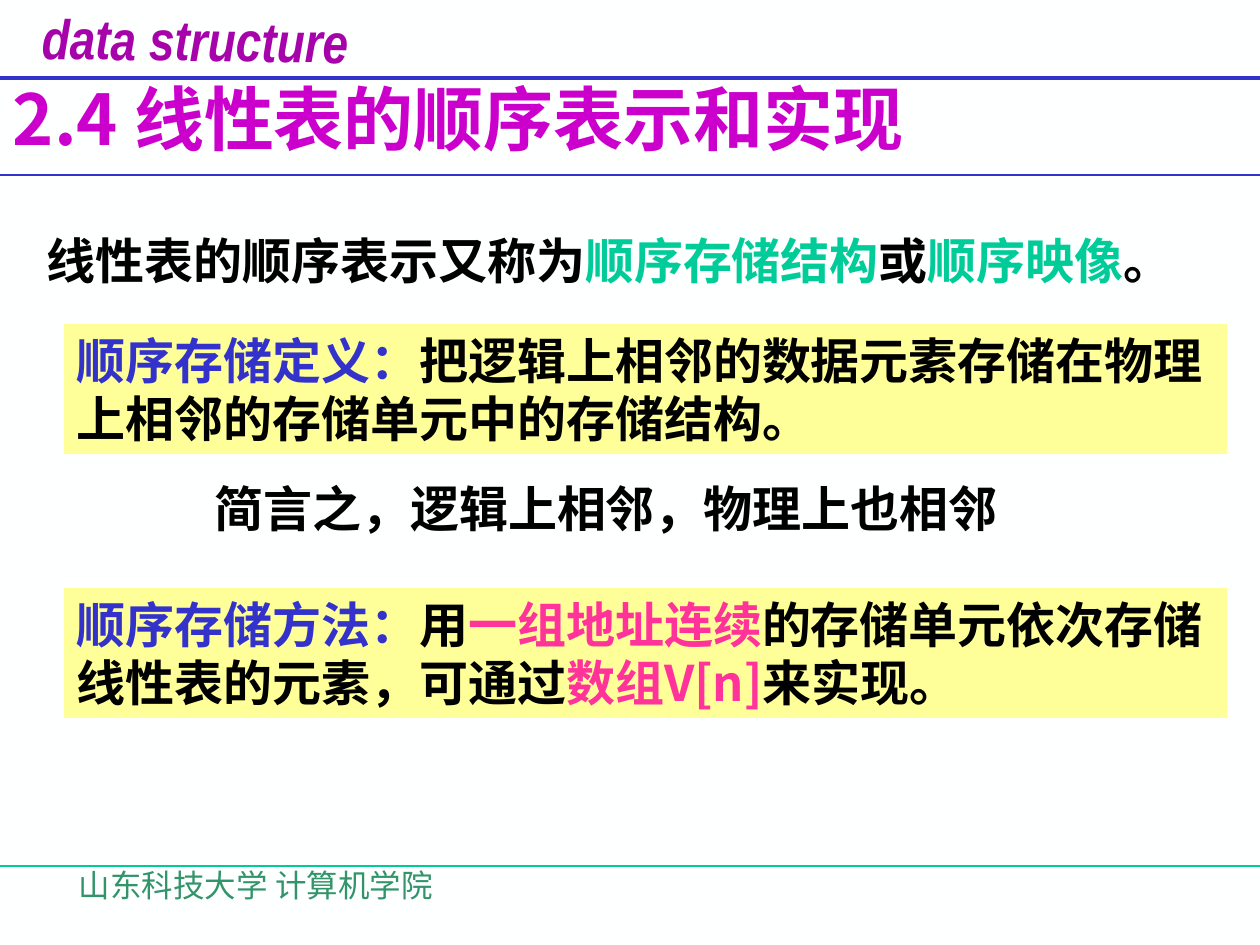
from lxml.etree import SubElement
from pptx import Presentation
from pptx.dml.color import RGBColor
from pptx.enum.shapes import MSO_CONNECTOR, MSO_SHAPE
from pptx.enum.text import MSO_ANCHOR, MSO_AUTO_SIZE, PP_ALIGN
from pptx.oxml.ns import qn
from pptx.util import Pt

SCALE = 914400 / 126
HEX = {
    "paper": "FEFFFF", "ink": "000000", "blue": "3333CC", "green": "00CC99",
    "pink": "FF3399", "yellow": "FFFF99", "title": "CC00CC",
    "head": "A603AB", "foot": "32946A",
}
CJK = "Noto Sans CJK SC"
BODY = {"size": Pt(28), "bold": True, "name": CJK}
HEAD = {"size": Pt(32), "bold": True, "italic": True, "name": "Arial Narrow"}
TITLE = {"size": Pt(40), "bold": True, "name": CJK}
FOOT = {"size": Pt(18), "bold": False, "name": CJK}
LEADING = {"line_spacing": Pt(33)}
INSET = {"margin_top": px_top} if (px_top := round(8 * SCALE)) else {}


def px(n):
    return round(n * SCALE)


def tint(key):
    return RGBColor.from_string(HEX[key])


def apply(obj, values):
    for key, value in values.items():
        setattr(obj, key, value)


def write(shape, runs, font, top=6, para=None, **frame):
    """Fill a shape with one paragraph of (text, colour) runs."""
    text = shape.text_frame
    apply(text, {
        "word_wrap": True, "auto_size": MSO_AUTO_SIZE.NONE,
        "vertical_anchor": MSO_ANCHOR.TOP,
        "margin_left": px(13), "margin_right": px(13),
        "margin_top": px(top), "margin_bottom": px(6), **frame,
    })
    line = text.paragraphs[0]
    apply(line, {"alignment": PP_ALIGN.LEFT, **(para or {})})
    for words, key in runs:
        run = line.add_run()
        run.text = words
        apply(run.font, font)
        run.font.color.rgb = tint(key)
        SubElement(run.font._element, qn("a:ea"), typeface=font["name"])


def add_text(slide, box, runs, font, **rest):
    shape = slide.shapes.add_textbox(*map(px, box))
    write(shape, runs, font, **rest)
    return shape


def add_panel(slide, y, runs):
    panel = slide.shapes.add_shape(
        MSO_SHAPE.RECTANGLE, *map(px, (64, y, 1163, 130)))
    panel.shadow.inherit = False
    panel.fill.solid()
    panel.fill.fore_color.rgb = tint("yellow")
    panel.line.fill.background()
    write(panel, runs, BODY, para=LEADING, **INSET)


def add_rule(slide, y, key, width):
    rule = slide.shapes.add_connector(
        MSO_CONNECTOR.STRAIGHT, 0, px(y), px(1260), px(y))
    rule.line.color.rgb = tint(key)
    rule.line.width = Pt(width)
    SubElement(rule._element.spPr, qn("a:effectLst"))


def add_title(slide, words):
    title = slide.shapes.title
    apply(title, dict(zip(("left", "top", "width", "height"),
                          map(px, (0, 71, 1082, 94)))))
    write(title, [(words, "title")], TITLE,
          vertical_anchor=MSO_ANCHOR.MIDDLE)


def main():
    deck = Presentation()
    apply(deck, {"slide_width": px(1260), "slide_height": px(945)})
    slide = deck.slides.add_slide(deck.slide_layouts[5])
    slide.background.fill.solid()
    slide.background.fill.fore_color.rgb = tint("paper")

    for y, key, width in ((866, "green", 0.75), (78, "blue", 2.25),
                          (175, "blue", 1)):
        add_rule(slide, y, key, width)
    head = add_text(slide, (29, -1, 289, 68), [("data structure", "head")],
                    HEAD, word_wrap=False)
    head.rotation = 0.8
    add_title(slide, "2.4 线性表的顺序表示和实现")

    add_text(slide, (34, 224, 1163, 72), [
        ("线性表的顺序表示又称为", "ink"), ("顺序存储结构", "green"),
        ("或", "ink"), ("顺序映像", "green"), ("。", "ink"),
    ], BODY, para=LEADING, **INSET)
    add_text(slide, (131, 472, 950, 72),
             [("简言之，逻辑上相邻，物理上也相邻", "ink")], BODY,
             para={**LEADING, "alignment": PP_ALIGN.CENTER}, **INSET)
    add_panel(slide, 588, [
        ("顺序存储方法：", "blue"), ("用", "ink"), ("一组地址连续", "pink"),
        ("的存储单元依次存储线性表的元素，可通过", "ink"),
        ("数组V[n]", "pink"), ("来实现。", "ink"),
    ])
    add_panel(slide, 324, [
        ("顺序存储定义：", "blue"),
        ("把逻辑上相邻的数据元素存储在物理上相邻的存储单元中的存储结构。", "ink"),
    ])
    add_text(slide, (66, 859, 522, 63),
             [("山东科技大学 计算机学院", "foot")], FOOT, top=7)
    deck.save("out.pptx")


if __name__ == "__main__":
    main()
